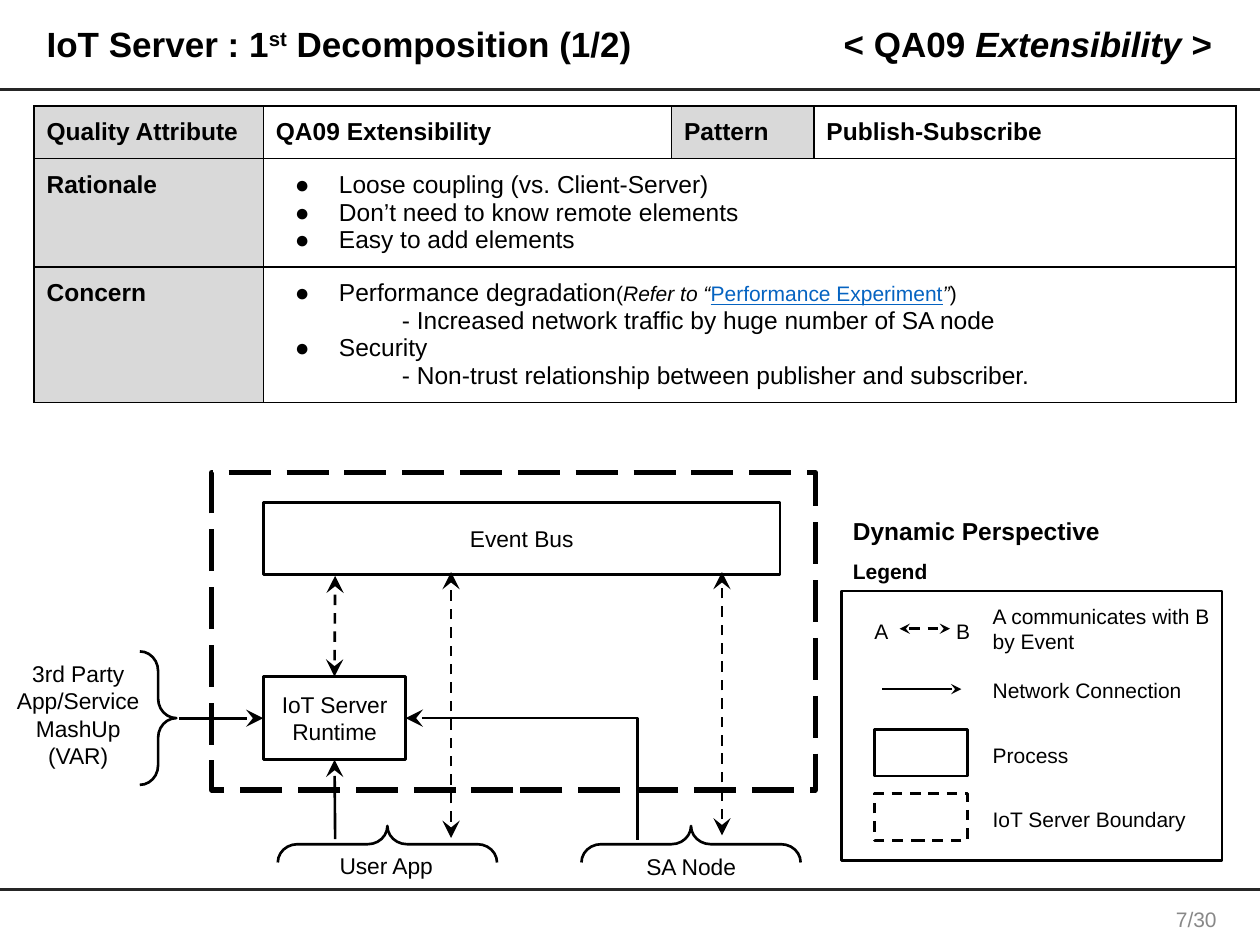
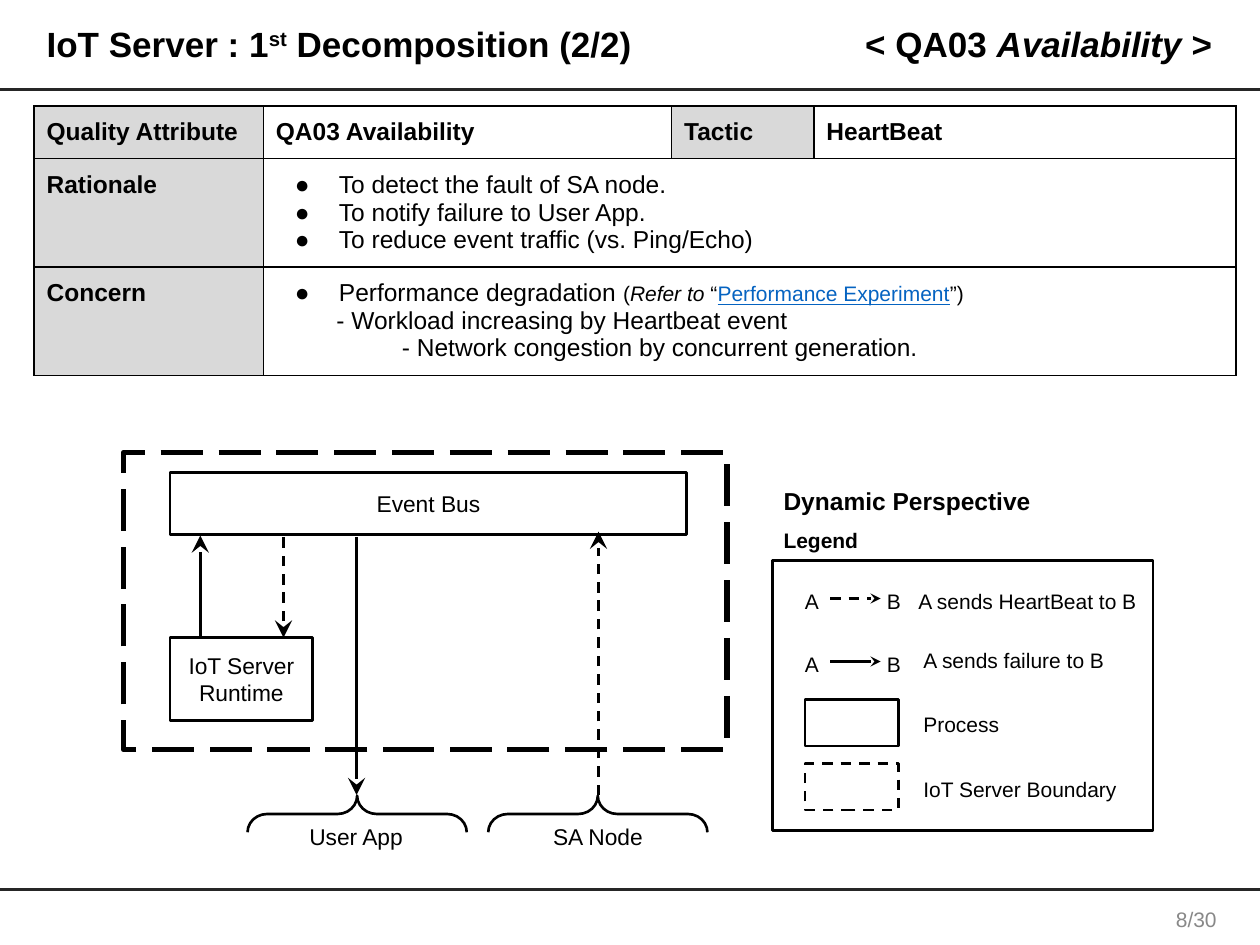
from lxml import etree
from pptx import Presentation, util as u
from pptx.dml.color import RGBColor
from pptx.enum import dml, shapes, text
from pptx.oxml import ns

COLORS = {"ink": "000000", "rule": "262626", "head": "D9D9D9",
          "paper": "FFFFFF", "link": "0563C1", "page": "888888"}
FONT = "Arial"
DASH = dml.MSO_LINE.DASH
LONG_DASH = dml.MSO_LINE.LONG_DASH
CENTER, RIGHT, LEFT = text.PP_ALIGN.CENTER, text.PP_ALIGN.RIGHT, text.PP_ALIGN.LEFT
ITALIC = {"italic": True}
LINK = {"size": 12, "link": True}


def rgb(name):
    return RGBColor.from_string(COLORS[name])


def inches(*values):
    return [u.Inches(v) for v in values]


def sub(parent, tag, **attrs):
    return etree.SubElement(parent, ns.qn(tag), attrs)


def write(p, parts, size, bold=False, color="ink", align=LEFT, spacing=None):
    p.alignment = align
    if spacing:
        p.line_spacing = spacing
    f = p.font
    f.name, f.size, f.bold = FONT, u.Pt(size), bold
    f.color.rgb = rgb(color)
    for part in [parts] if isinstance(parts, str) else parts:
        words, style = (part, {}) if isinstance(part, str) else part
        r = p.add_run()
        r.text = words
        if "size" in style:
            r.font.size = u.Pt(style["size"])
        if "italic" in style:
            r.font.italic = True
        if "link" in style:
            r.font.underline = True
            r.font.color.rgb = rgb("link")
        if "raised" in style:
            r.font._element.set("baseline", "30000")


def frame(sp, anchor=text.MSO_ANCHOR.MIDDLE, pad=0.1):
    tf = sp.text_frame
    tf.word_wrap = True
    tf.auto_size = text.MSO_AUTO_SIZE.NONE
    tf.vertical_anchor = anchor
    tf.margin_left = tf.margin_right = u.Inches(0.1)
    tf.margin_top = tf.margin_bottom = u.Inches(pad)
    return tf


def label(s, x, y, w, h, words, size=13, align=CENTER):
    anchor = text.MSO_ANCHOR.MIDDLE if align == CENTER else text.MSO_ANCHOR.TOP
    tf = frame(s.shapes.add_textbox(*inches(x, y, w, h)), anchor)
    for i, line in enumerate(words.split("\n")):
        p = tf.add_paragraph() if i else tf.paragraphs[0]
        write(p, line, size, align=align)


def outline(line, width, color="ink", dash=None):
    line.color.rgb = rgb(color)
    line.width = u.Pt(width)
    if dash:
        line.dash_style = dash


def box(s, x, y, w, h, words="", fill=True, width=1.5, dash=None):
    sp = s.shapes.add_shape(shapes.MSO_SHAPE.RECTANGLE, *inches(x, y, w, h))
    sp.shadow.inherit = False
    if fill:
        sp.fill.solid()
        sp.fill.fore_color.rgb = rgb("paper")
    else:
        sp.fill.background()
    outline(sp.line, width, dash=dash)
    if words:
        write(frame(sp).paragraphs[0], words, 13, align=CENTER)
    return sp


def boundary(s, x, y, h):
    box(s, x, y, 4.79, h, fill=False, width=3, dash=LONG_DASH)


def brace(s, x, y, length, rotation=0):
    sp = s.shapes.add_shape(shapes.MSO_SHAPE.RIGHT_BRACE, *inches(x, y, 0.29, length))
    sp.rotation = rotation
    sp.adjustments[0] = 0.536
    sp.shadow.inherit = False
    sp.fill.background()
    outline(sp.line, 1.5)


def line(s, x1, y1, x2, y2, heads="", dash=None, size="lg", width=1.5,
         color="ink", kind=shapes.MSO_CONNECTOR.STRAIGHT):
    c = s.shapes.add_connector(kind, *inches(x1, y1, x2, y2))
    outline(c.line, width, color, dash)
    ln = c.line._get_or_add_ln()
    for end in ("head", "tail"):
        if end in heads:
            sub(ln, f"a:{end}End", type="stealth", w=size, len=size)
    sub(c._element.spPr, "a:effectLst")
    return c


def bent_arrow(s, x1, y1, x2, y2):
    c = line(s, x1, y1, x2, y2, "head", kind=shapes.MSO_CONNECTOR.ELBOW)
    c._element.spPr.find(ns.qn("a:prstGeom")).set("prst", "bentConnector2")


def heading(sp, x, w, parts, align):
    sp.left, sp.top, sp.width, sp.height = inches(x, 0.1, w, 0.53)
    p = frame(sp, pad=0.05).paragraphs[0]
    pPr = p._p.get_or_add_pPr()
    pPr.set("marL", "0")
    pPr.set("indent", "0")
    sub(pPr, "a:buNone")
    p.space_before = u.Pt(0)
    write(p, parts, 20, True, align=align, spacing=0.9)


def base_slide(prs, part, code, quality, page):
    s = prs.slides.add_slide(prs.slide_layouts[1])
    for y in (0.71, 7.06):
        line(s, 0, y, 10, y, width=1.75, color="rule")
    heading(s.shapes.title, 0.27, 6.18,
            ["IoT Server : 1", ("st", {"raised": True}), f" Decomposition ({part}/2)"], LEFT)
    heading(s.placeholders[1], 6.59, 3.13,
            [f"< {code} ", (f"{quality} ", ITALIC), ">"], RIGHT)
    tf = frame(s.shapes.add_textbox(*inches(9.11, 7.14, 0.77, 0.31)), pad=0.05)
    write(tf.paragraphs[0], f"{page}/30", 12, color="page", align=CENTER)
    return s


def indent(p, margin, bullet=False):
    pPr = p._p.get_or_add_pPr()
    pPr.set("marL", str(u.Inches(margin)))
    pPr.set("indent", str(u.Inches(-0.35 if bullet else 0)))
    if bullet:
        sub(sub(pPr, "a:buClr"), "a:srgbClr", val=COLORS["ink"])
        sub(pPr, "a:buFont", typeface=FONT)
        sub(pPr, "a:buChar", char="●")


def style_cell(cell, fill):
    cell.margin_left = cell.margin_right = u.Inches(0.1)
    cell.margin_top = cell.margin_bottom = u.Inches(0.1)
    tcPr = cell._tc.get_or_add_tcPr()
    for side in "LRTB":
        ln = sub(tcPr, f"a:ln{side}", w=str(u.Pt(1)))
        sub(sub(ln, "a:solidFill"), "a:srgbClr", val=COLORS["ink"])
    cell.fill.solid()
    cell.fill.fore_color.rgb = rgb(fill)


def quality_table(s, header, rationale, concern, heights):
    tbl = s.shapes.add_table(3, 4, *inches(0.27, 0.84, 9.53, sum(heights))).table
    for col, w in zip(tbl.columns, (1.82, 3.24, 1.13, 3.35)):
        col.width = u.Inches(w)
    for row, h in zip(tbl.rows, heights):
        row.height = u.Inches(h)
    for r in range(3):
        for c in range(4):
            style_cell(tbl.cell(r, c), "head" if c == 0 or (r, c) == (0, 2) else "paper")
    for c, words in enumerate(header):
        write(tbl.cell(0, c).text_frame.paragraphs[0], words, 14, True)
    rows = (("Rationale", [(0, item) for item in rationale]), ("Concern", concern))
    for r, (name, items) in enumerate(rows, 1):
        write(tbl.cell(r, 0).text_frame.paragraphs[0], name, 14, True)
        tbl.cell(r, 1).merge(tbl.cell(r, 3))
        tf = tbl.cell(r, 1).text_frame
        for i, (margin, parts) in enumerate(items):
            p = tf.add_paragraph() if i else tf.paragraphs[0]
            indent(p, margin or 0.5, bullet=not margin)
            write(p, parts, 14)


def legend(s, x, y):
    box(s, x, y, 3.02, 2.14, fill=False)
    tf = frame(s.shapes.add_textbox(*inches(x - 0.01, y - 0.81, 2.78, 0.66)),
               text.MSO_ANCHOR.TOP)
    write(tf.paragraphs[0], "Dynamic Perspective", 14, True, spacing=1.5)
    write(tf.add_paragraph(), "Legend", 12, True, spacing=1.5)
    for dy, words, dash in ((1.1, "Process", None), (1.61, "IoT Server Boundary", DASH)):
        box(s, x + 0.26, y + dy, 0.74, 0.37, dash=dash)
        legend_text(s, x + 1.1, y + dy, words)


def legend_text(s, x, y, words, w=1.99):
    label(s, x, y, w, 0.37, words, 12, LEFT)


def legend_pair(s, x, y, heads, dash=None):
    for dx, letter in ((0.16, "A"), (0.81, "B")):
        legend_text(s, x + dx, y, letter, 0.29)
    line(s, x + 0.46, y + 0.18, x + 0.86, y + 0.18, heads, dash, "med")


def extensibility(prs):
    s = base_slide(prs, 1, "QA09", "Extensibility", 7)
    quality_table(
        s, ("Quality Attribute", "QA09 Extensibility", "Pattern", "Publish-Subscribe"),
        ("Loose coupling (vs. Client-Server)", "Don’t need to know remote elements",
         "Easy to add elements"),
        ((0, ["Performance degradation", ("(", {"size": 12}),
              ("Refer to “", {"size": 12, **ITALIC}), ("Performance Experiment", LINK),
              ("”", {"size": 12, **ITALIC}), (")", {"size": 12})]),
         (1, "- Increased network traffic by huge number of SA node"),
         (0, "Security"),
         (1, "- Non-trust relationship between publisher and subscriber.")),
        (0.41, 0.86, 1.07))

    box(s, 2.09, 3.99, 4.1, 0.57, "Event Bus")
    runtime = box(s, 2.09, 5.37, 1.13, 0.66, "IoT Server Runtime")
    label(s, 0.01, 5.18, 1.22, 0.98, "3rd Party App/Service MashUp\n(VAR)")
    label(s, 2.43, 6.68, 1.27, 0.37, "User App")
    label(s, 4.92, 6.69, 1.13, 0.37, "SA Node")
    brace(s, 1.11, 5.17, 1.06)
    for x in (2.93, 5.34):
        brace(s, x, 5.83, 1.74, 270)

    line(s, 2.66, 5.37, 2.66, 4.57, "head tail", DASH).begin_connect(runtime, 0)
    line(s, 2.66, 6.66, 2.66, 6.03, "tail").end_connect(runtime, 2)
    line(s, 1.42, 5.7, 2.09, 5.7, "tail").end_connect(runtime, 1)
    for x, y in ((3.58, 6.65), (5.73, 6.63)):
        line(s, x, y, x, 4.54, "head tail", DASH)
    bent_arrow(s, 3.22, 5.7, 5.06, 6.67)
    boundary(s, 1.68, 3.75, 2.52)

    x, y = 6.68, 4.69
    legend(s, x, y)
    legend_pair(s, x, y + 0.12, "head tail", DASH)
    legend_text(s, x + 1.1, y, "A communicates with B by Event")
    line(s, x + 0.32, y + 0.78, x + 0.95, y + 0.78, "tail", size="med")
    legend_text(s, x + 1.1, y + 0.59, "Network Connection")


def availability(prs):
    s = base_slide(prs, 2, "QA03", "Availability", 8)
    quality_table(
        s, ("Quality Attribute", "QA03 Availability", "Tactic", "HeartBeat"),
        ("To detect the fault of SA node.", "To notify failure to User App.",
         "To reduce event traffic (vs. Ping/Echo)"),
        ((0, ["Performance degradation ", ("(", {"size": 12}),
              ("Refer to", {"size": 12, **ITALIC}), (" “", {"size": 12}),
              ("Performance Experiment", LINK), ("”)", {"size": 12})]),
         (0.48, "- Workload increasing by Heartbeat event"),
         (1, "- Network congestion by concurrent generation.")),
        (0.41, 0.86, 0.86))

    box(s, 1.35, 3.75, 4.1, 0.49, "Event Bus")
    box(s, 1.35, 5.06, 1.13, 0.66, "IoT Server Runtime")
    label(s, 2.19, 6.45, 1.27, 0.37, "User App")
    label(s, 4.18, 6.45, 1.13, 0.37, "SA Node")
    for x in (2.69, 4.6):
        brace(s, x, 5.59, 1.74, 270)
    boundary(s, 0.98, 3.59, 2.36)

    line(s, 1.59, 5.06, 1.59, 4.25, "tail")
    line(s, 2.25, 5.06, 2.25, 4.25, "head", DASH)
    line(s, 2.83, 6.31, 2.83, 4.26, "head")
    line(s, 4.75, 6.31, 4.75, 4.22, "tail", DASH)

    x, y = 6.13, 4.45
    legend(s, x, y)
    legend_pair(s, x, y + 0.12, "tail", DASH)
    legend_text(s, x + 1.06, y + 0.12, "A sends HeartBeat to B")
    legend_pair(s, x, y + 0.62, "tail")
    legend_text(s, x + 1.1, y + 0.59, "A sends failure to B")


def main():
    prs = Presentation()
    prs.slide_width, prs.slide_height = inches(10, 7.5)
    extensibility(prs)
    availability(prs)
    prs.save("out.pptx")


if __name__ == "__main__":
    main()
